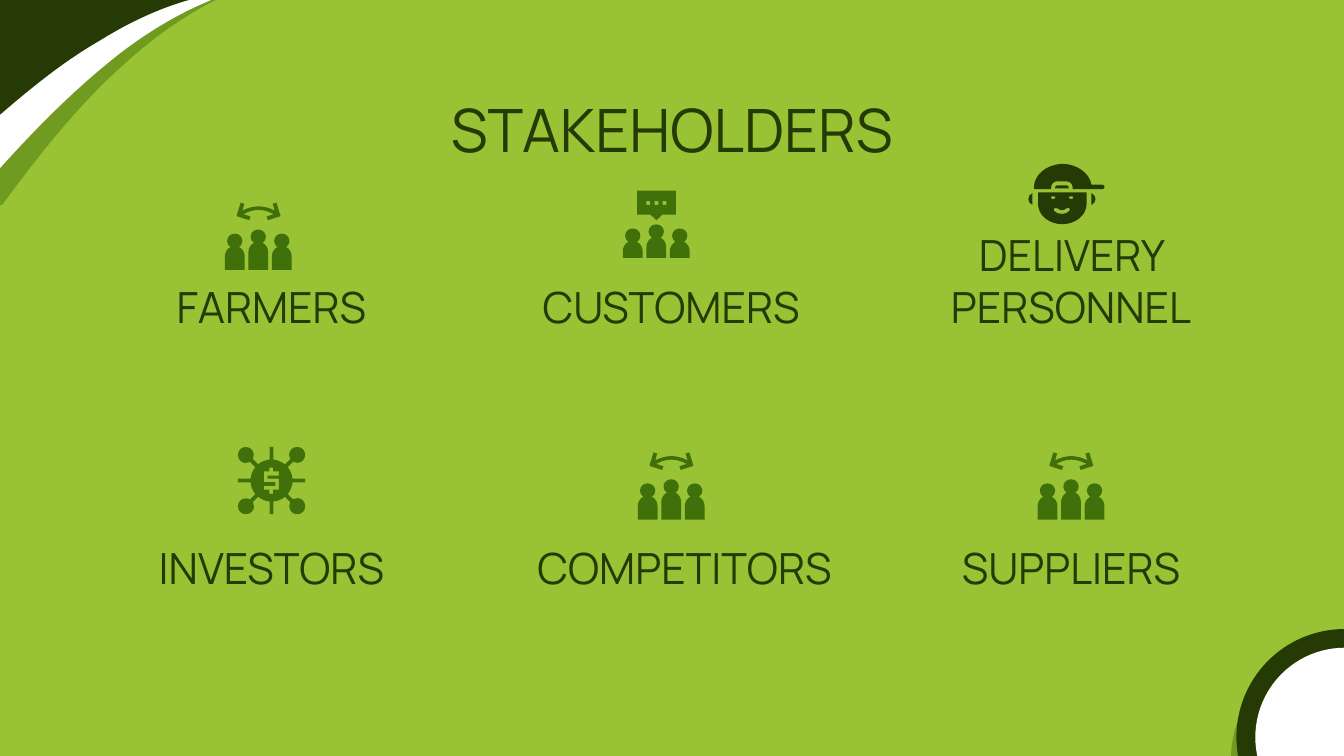
from lxml.etree import SubElement
from pptx import Presentation
from pptx.dml.color import RGBColor
from pptx.enum.shapes import MSO_SHAPE as SHAPE
from pptx.enum.text import MSO_ANCHOR as ANCHOR, PP_ALIGN as ALIGN
from pptx.oxml.ns import qn
from pptx.util import Pt

LIME, DARK, LEAF, WHITE = "9AC235", "253A04", "40700A", "FFFFFF"
SWOOSHES = [
    ("M 1 110 L -22 104 C -37 79 -44 50 -42 22 C -40 10 -38 -1 -30 -8 C 0 -25 50 -34 85 -37 "
     "C 110 -39 130 -43 145 -49 L 155 -14 C 151 -14 149 -13 147 -12 C 117 -4 90 13 67 34 "
     "C 42 56 21 83 1 110", LEAF, 47),
    ("M -8 99 L -30 95 C -43 64 -47 35 -42 6 C -40 -4 -37 -14 -28 -22 C 0 -33 50 -41 89 -41 "
     "C 104 -41 134 -40 150 -47 L 156 -12 C 154 -12 151 -11 148 -10 C 118 -5 90 9 65 28 "
     "C 38 49 15 73 -8 99", WHITE, 100),
    ("M -19 78 L -35 73 C -48 44 -48 17 -41 -7 C -38 -17 -35 -26 -26 -32 C 0 -39 50 -40 81 -38 "
     "C 95 -37 121 -34 136 -38 L 139 -6 C 137 -6 134 -5 132 -5 C 104 -4 77 7 53 22 "
     "C 27 37 4 58 -19 78", DARK, 100),
]
PERSON = ("M 5.3 0 C 3.1 0 1.2 1.6 1.2 4 C 1.2 5.4 2 6.5 3 7.2 C 1.2 8 0 10 0 12.2 "
          "L 0 {h} L 10.6 {h} L 10.6 12.2 C 10.6 10 9.4 8 7.6 7.2 "
          "C 8.6 6.5 9.4 5.4 9.4 4 C 9.4 1.6 7.5 0 5.3 0")
ARROW = ("M 2.2 0 L 0 7.2 L 6.8 9.4 L 7.5 7.4 L 3.7 6.2 C 6.5 4.6 9.3 3.9 11.8 3.9 "
         "C 14.3 3.9 17.1 4.6 19.9 6.2 L 16.1 7.4 L 16.8 9.4 L 23.6 7.2 L 21.4 0 L 19.4 0.6 "
         "L 20.4 4.2 C 17.5 2.8 14.7 2 11.8 2 C 8.9 2 6 2.8 3.2 4.2 L 4.2 0.6")
BUBBLE = "M 0 0 L 0 12.8 L 7.2 12.8 L 10.4 15.8 L 13.6 12.8 L 20.8 12.8 L 20.8 0"
SPOKES = ("M 19 0 L 19 6.8 C 21.3 7 23.4 7.9 25.2 9.3 L 28 6.5 C 27.6 5.7 27.4 4.9 27.4 4.1 "
          "C 27.4 1.8 29.3 0 31.8 0 C 34.2 0 36 1.8 36 4.2 C 36 6.6 34.2 8.5 31.8 8.5 "
          "C 31 8.5 30.2 8.3 29.5 8 L 26.7 10.8 C 28.1 12.5 29 14.7 29.2 17 L 36 17 L 36 19")
DOLLAR = ("M 18.9 11.1 L 18.9 13.1 L 21.9 13.1 L 21.9 15.3 L 15.9 15.3 L 15.9 16.9 L 21.9 16.9 "
          "L 21.9 22.9 L 18.9 22.9 L 18.9 25.1 L 16.9 25.1 L 16.9 22.9 L 13.9 22.9 L 13.9 20.9 "
          "L 20 20.9 L 20 18.9 L 13.9 18.9 L 13.9 13.1 L 16.9 13.1 L 16.9 11.1")
FACE = "M 5.2 15.2 L 5.2 21.6 C 5.2 27.4 11 32.3 18.2 32.3 C 25.4 32.3 31.2 27.4 31.2 21.6 L 31.2 15.2"
EYE = "M 0 0.9 C 0 0 2.6 0 2.6 0.9 C 2.6 2 0 2 0 0.9"
SMILE = ("M 21.6 23.5 C 22.3 23.8 22.5 24.6 22 25.2 C 21 26.3 19.6 26.8 18 26.8 "
         "C 16.2 26.8 14.8 26.3 13.8 25.2 C 13.4 24.5 13.5 24 14.1 23.6 "
         "C 14.8 23.4 15.4 23.5 15.8 23.9 C 16.4 24.5 17.2 24.8 18 24.8 "
         "C 18.9 24.8 19.8 24.5 20.2 23.9 C 20.6 23.5 21.1 23.4 21.6 23.5")
CAP = ("M 18 0 C 9.5 0.5 3 6 3 12.8 L 3.2 13.6 L 12.3 13.6 L 12.3 12.2 "
       "C 12.3 10.7 13.8 9.4 15.6 9.4 L 20.4 9.4 C 22.2 9.4 23.7 10.7 23.7 12.2 "
       "L 23.7 13.6 L 39.7 13.6 C 41.2 13.6 41.2 11.2 39.7 11.2 L 33.8 11.2 C 33 5 26 0 18 0")
STRAP = "M 15.6 11.5 C 15 11.5 14.4 11.9 14.4 12.5 L 14.4 13.2 L 21.6 13.2 L 21.6 12.5 C 21.6 11.9 21 11.5 20.4 11.5"
EAR = "M 2.2 15.6 C 0.8 16.3 0 17.5 0 18.9 C 0 20.3 0.9 21.5 2.2 22"


def paint(shape, color, opacity=100):
    """Give a shape a plain fill with no line or shadow."""
    shape.shadow.inherit = False
    shape.line.fill.background()
    shape.fill.solid()
    shape.fill.fore_color.rgb = RGBColor.from_string(color)
    if opacity < 100:
        clr = shape.fill._xPr.find(qn("a:solidFill"))[0]
        SubElement(clr, qn("a:alpha"), val=str(opacity * 1000))


def trace(path, dx=0, dy=0):
    """Split one outline into (command, points) steps, shifted by dx, dy."""
    steps = []
    for part in path.replace("L", "|L").replace("C", "|C").split("|"):
        n = [float(v) for v in part[1:].split()]
        steps.append((part[0], [(x + dx, y + dy) for x, y in zip(n[::2], n[1::2])]))
    return steps


def turn(steps, rule):
    """Apply a point rule to every step of an outline."""
    return [(cmd, [rule(*pt) for pt in pts]) for cmd, pts in steps]


def draw(s, x, y, contours, color, opacity=100):
    """Draw closed contours as one freeform; inner contours become holes."""
    fb = None
    for contour in contours:
        pts = [(Pt(x + px), Pt(y + py)) for _, step in contour for px, py in step]
        if fb is None:
            fb = s.shapes.build_freeform(*pts[0])
        else:
            fb.move_to(*pts[0])
        fb.add_line_segments(pts[1:], close=True)
    shape = fb.convert_to_shape()
    nodes = iter(list(shape._element.iter(qn("a:lnTo"))))
    for cmd, _ in (step for contour in contours for step in contour[1:]):
        node = next(nodes)
        if cmd == "C":
            node.tag = qn("a:cubicBezTo")
            for _ in range(2):
                extra = next(nodes)
                node.append(extra[0])
                extra.getparent().remove(extra)
    paint(shape, color, opacity)


def people(s, x, y, height):
    """Three people standing on the base of a 36 pt box, the middle one taller."""
    for i, h in enumerate((height, height + 2.2, height)):
        draw(s, x + 12.6 * i, y + 36 - h, [trace(PERSON.format(h=h))], LEAF)


def exchange_icon(s, x, y):
    """People below a two-way arrow."""
    draw(s, x + 6.2, y, [trace(ARROW)], LEAF)
    people(s, x, y, 19.4)


def talk_icon(s, x, y):
    """People below a speech bubble."""
    dots = [trace("M 0 0 L 2 0 L 2 2 L 0 2", 5 + 4.4 * i, 5.6) for i in range(3)]
    draw(s, x + 7.6, y, [trace(BUBBLE)] + dots, LEAF)
    people(s, x, y, 15.8)


def funding_icon(s, x, y):
    """A coin with spokes, one quarter turned four times."""
    quarter = trace(SPOKES)
    rim = quarter[:1]
    for _ in range(4):
        rim += quarter[1:]
        quarter = turn(quarter, lambda px, py: (36 - py, px))
    draw(s, x, y, [rim, trace(DOLLAR)], LEAF)


def courier_icon(s, x, y):
    """A smiling face in a cap."""
    ear = trace(EAR)
    eyes = [trace(EYE, dx, 17.1) for dx in (12, 21.6)]
    parts = [[trace(FACE), *eyes, trace(SMILE)], [trace(CAP)], [trace(STRAP)],
             [ear], [turn(ear, lambda px, py: (36 - px, py))]]
    for part in parts:
        draw(s, x, y, part, DARK)


def label(s, x, y, w, h, text, size=23, anchor=ANCHOR.BOTTOM):
    """A centred text in the given box."""
    tf = s.shapes.add_textbox(Pt(x), Pt(y), Pt(w), Pt(h)).text_frame
    tf.word_wrap = True
    tf.vertical_anchor = anchor
    tf.margin_left = tf.margin_right = tf.margin_top = tf.margin_bottom = Pt(7.2)
    p = tf.paragraphs[0]
    p.text = text
    p.alignment = ALIGN.CENTER
    p.font.name, p.font.size = "Manrope", Pt(size)
    p.font.color.rgb = RGBColor.from_string(DARK)


def decoration(s, w, h):
    """Swooshes at the top left and discs at the bottom right."""
    for dx, dy, d, color, opacity in ((60.5, 56.5, 116, LEAF, 47), (57.6, 68, 116, DARK, 100),
                                      (47.5, 58, 96, WHITE, 100)):
        disc = s.shapes.add_shape(SHAPE.OVAL, Pt(w - dx), Pt(h - dy), Pt(d), Pt(d))
        paint(disc, color, opacity)
    for path, color, opacity in SWOOSHES:
        draw(s, 0, 0, [trace(path)], color, opacity)


def stakeholder(s, x, y, w, text, icon, dx, dy):
    """A name with its icon placed relative to the name's box."""
    label(s, x, y, w, 32.4, text)
    icon(s, x + dx, y + dy)


def main():
    """Build the stakeholder slide."""
    prs = Presentation()
    prs.slide_width, prs.slide_height = Pt(720), Pt(405)
    s = prs.slides.add_slide(prs.slide_layouts[6])
    s.background.fill.solid()
    s.background.fill.fore_color.rgb = RGBColor.from_string(LIME)
    decoration(s, 720, 405)
    label(s, 56, 42.5, 608, 45, "STAKEHOLDERS", 32, ANCHOR.TOP)
    rows = [
        [("FARMERS", 180, exchange_icon, 65, -44), ("CUSTOMERS", 180, talk_icon, 64, -50.4),
         ("DELIVERY PERSONNEL", 180, courier_icon, 67, -64.8)],
        [("INVESTORS", 180, funding_icon, 72, -52.8), ("COMPETITORS", 194.4, exchange_icon, 72, -49.9),
         ("SUPPLIERS", 180, exchange_icon, 72, -49.9)],
    ]
    for y, row in zip((152.6, 292.3), rows):
        for i, (text, w, icon, dx, dy) in enumerate(row):
            stakeholder(s, 55.5 + 214.2 * i, y, w, text, icon, dx, dy)
    prs.save("out.pptx")


if __name__ == "__main__":
    main()
